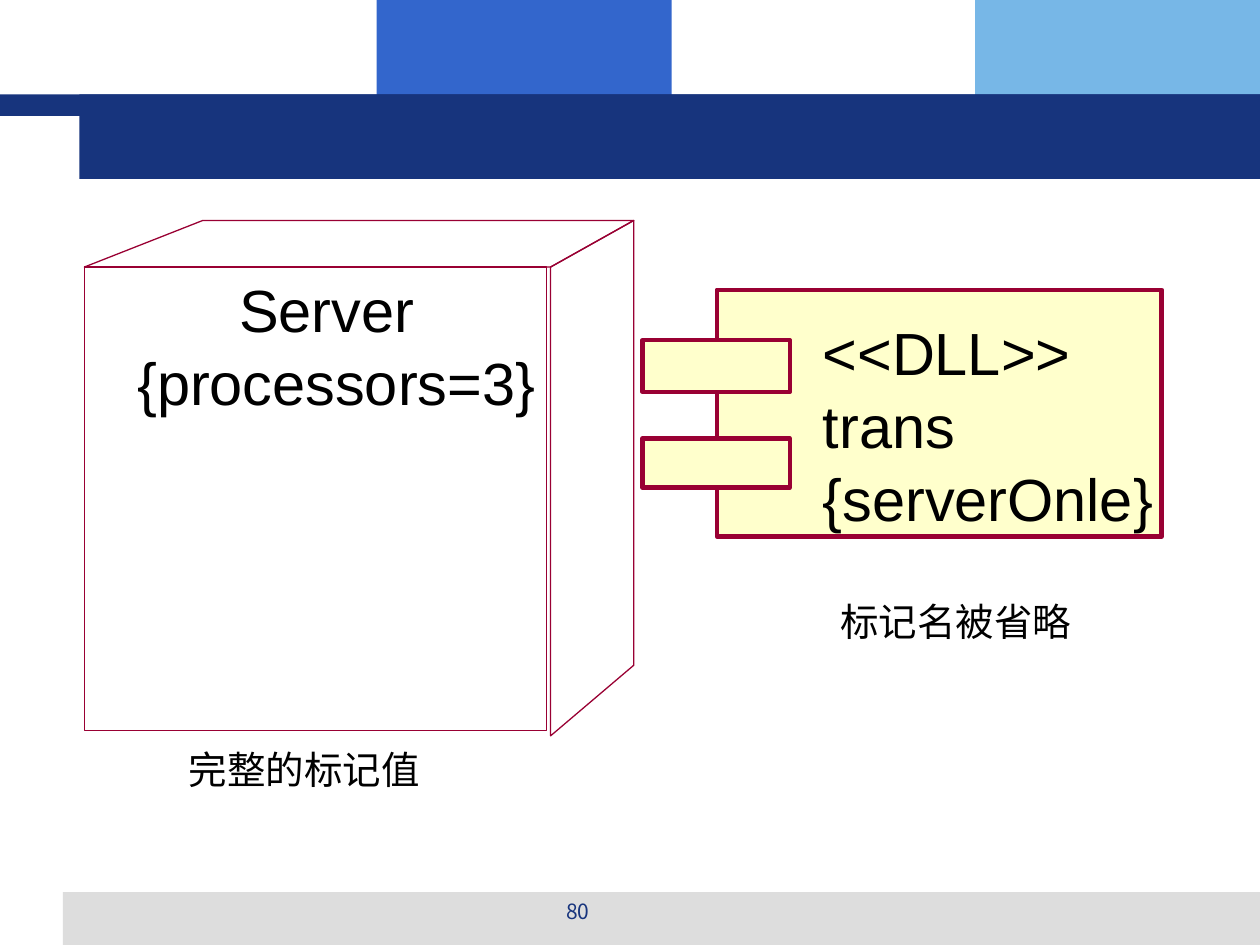
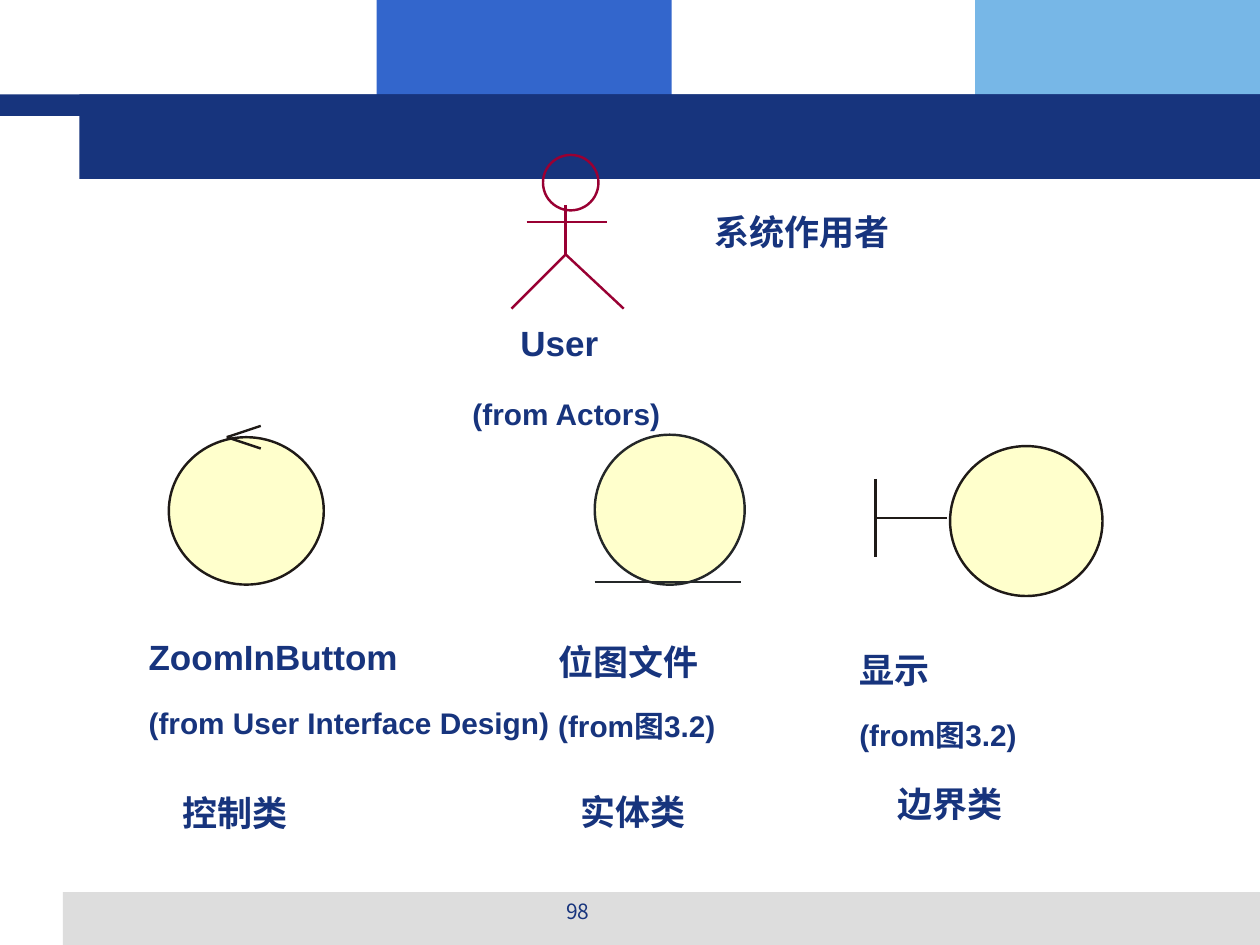
from lxml import etree
from pptx import Presentation, util as u
from pptx.dml.color import RGBColor
from pptx.enum import shapes, text
from pptx.oxml.ns import qn

NAVY = RGBColor(0x17, 0x34, 0x7D)
BLUE = RGBColor(0x33, 0x66, 0xCC)
SKY = RGBColor(0x77, 0xB7, 0xE7)
GREY = RGBColor(0xDD, 0xDD, 0xDD)
CREAM = RGBColor(0xFF, 0xFF, 0xCC)
WINE = RGBColor(0x99, 0x00, 0x33)
INK = RGBColor(0x1F, 0x1A, 0x17)
SLATE = RGBColor(0x24, 0x27, 0x28)
BLACK = RGBColor(0, 0, 0)
LATIN, HAN = "Arial", "Noto Sans CJK SC"
RECT, OVAL = shapes.MSO_SHAPE.RECTANGLE, shapes.MSO_SHAPE.OVAL
THIN, FINE, BOLD = 0.75, 1.39, 2.5


# Basic parts
def paint(item, fill, line, width):
    item.shadow.inherit = False
    if fill is None:
        item.fill.background()
    else:
        item.fill.solid()
        item.fill.fore_color.rgb = fill
    if line is None:
        item.line.fill.background()
    else:
        item.line.color.rgb = line
        item.line.width = u.Pt(width)


def shape(slide, kind, x, y, w, h, fill=None, line=None, width=FINE):
    item = slide.shapes.add_shape(kind, *map(u.Inches, (x, y, w, h)))
    paint(item, fill, line, width)


def outline(slide, points, line, width=FINE, close=True):
    spots = [(u.Inches(x), u.Inches(y)) for x, y in points]
    path = slide.shapes.build_freeform(*spots[0])
    path.add_line_segments(spots[1:], close=close)
    paint(path.convert_to_shape(), None, line, width)


def stroke(slide, x1, y1, x2, y2, color):
    line = slide.shapes.add_connector(
        shapes.MSO_CONNECTOR.STRAIGHT, *map(u.Inches, (x1, y1, x2, y2)))
    line.line.color.rgb = color
    line.line.width = u.Pt(FINE)
    etree.SubElement(line._element.spPr, qn("a:effectLst"))


def write(slide, words, x, y, w, h, size=20, color=NAVY, bold=False,
          font=LATIN, align=text.PP_ALIGN.LEFT, gap=0, inset=(0, 0)):
    box = slide.shapes.add_textbox(*map(u.Inches, (x, y, w, h)))
    frame = box.text_frame
    frame.word_wrap = True
    frame.margin_left = frame.margin_right = u.Inches(inset[0])
    frame.margin_top = frame.margin_bottom = u.Inches(inset[1])
    for i, part in enumerate(words.split("\n")):
        para = frame.paragraphs[0] if i == 0 else frame.add_paragraph()
        para.alignment = align
        if i:
            para.space_before = u.Pt(gap)
        run = para.add_run()
        run.text = part
        run.font.name = font
        run.font.size = u.Pt(size)
        run.font.bold = bold
        run.font.color.rgb = color
        east = etree.SubElement(run._r.get_or_add_rPr(), qn("a:ea"))
        east.set("typeface", HAN)


# Shared bands and page number
def page(deck, number):
    slide = deck.slides.add_slide(deck.slide_layouts[6])
    for x, y, w, h, fill in [
            (2.99, 0, 2.34, 0.92, BLUE), (7.74, 0, 2.26, 0.92, SKY),
            (0.5, 7.08, 9.5, 0.42, GREY),
            (0, 0.75, 10, 0.17, NAVY), (0.63, 0.75, 9.37, 0.67, NAVY)]:
        shape(slide, RECT, x, y, w, h, fill)
    write(slide, str(number), 3.42, 7.08, 2.33, 0.35, size=12, font=HAN,
          align=text.PP_ALIGN.CENTER, inset=(0.1, 0.05))
    return slide


# Node drawn as a box in perspective
def cube(slide, x, y, w, h):
    edge, right, front = x + 3.7, x + w, y + 0.37
    shape(slide, RECT, x, front, 3.67, 3.68, line=WINE, width=THIN)
    outline(slide, [(x, front), (x + 0.94, y), (right, y), (edge, front)],
            WINE, THIN)
    outline(slide, [(edge, front), (right, y), (right, y + 3.53), (edge, y + h)],
            WINE, THIN)
    write(slide, "Server", x + 1.23, y + 0.42, 1.6, 0.57, size=34, color=BLACK)
    write(slide, "{processors=3}", x + 0.42, y + 1, 3.4, 0.57,
          size=34, color=BLACK)


# Component with two tabs on its left side
def module(slide, x, y, w, h):
    shape(slide, RECT, x, y, w, h, CREAM, WINE, BOLD)
    for top, tall in [(0.4, 0.41), (1.18, 0.39)]:
        shape(slide, RECT, x - 0.59, y + top, 1.17, tall, CREAM, WINE, BOLD)
    write(slide, "<<DLL>>\ntrans\n{serverOnle}", x + 0.84, y + 0.21, 2.9, 1.73,
          size=34, color=BLACK, gap=0.9)


# Stick figure
def actor(slide, x, y, w, h):
    mid, hip = x + 0.43, y + 0.79
    shape(slide, OVAL, x + 0.25, y, 0.44, 0.44, line=WINE)
    stroke(slide, mid, y + 0.4, mid, hip, WINE)
    stroke(slide, x + 0.12, y + 0.53, x + 0.76, y + 0.53, WINE)
    outline(slide, [(x, y + h), (mid, hip), (x + w, y + h)], WINE, close=False)


# Class icons
def control(slide, x, y, w, h):
    shape(slide, OVAL, x, y, w, h, CREAM, INK)
    for rise in (-0.09, 0.09):
        stroke(slide, x + 0.73, y + rise, x + 0.46, y, INK)


def entity(slide, x, y, w, h):
    shape(slide, OVAL, x, y, w, h, CREAM, SLATE)
    stroke(slide, x, y + h - 0.02, x + 1.16, y + h - 0.02, SLATE)


def border(slide, x, y, w, h):
    shape(slide, OVAL, x, y, w, h, CREAM, INK)
    bar, mid = x - 0.59, y + 0.57
    stroke(slide, bar, mid - 0.31, bar, mid + 0.31, INK)
    stroke(slide, bar, mid, x - 0.02, mid, INK)


# Name with its source below
def label(slide, x, y, name, source, wide, drop):
    write(slide, name, x, y, wide, 0.33, bold=True)
    write(slide, source, x, y + drop, wide, 0.28, size=17, bold=True)


def tagged(deck):
    slide = page(deck, 80)
    cube(slide, 0.67, 1.75, 4.36, 4.09)
    module(slide, 5.69, 2.3, 3.53, 1.96)
    for words, x, y in [("标记名被省略", 6.67, 4.75), ("完整的标记值", 1.5, 5.92)]:
        write(slide, words, x, y, 2.1, 0.37, size=22, color=BLACK)


def classes(deck):
    slide = page(deck, 98)
    actor(slide, 4.06, 1.23, 0.89, 1.22)
    write(slide, "User", 4.13, 2.55, 0.9, 0.33, bold=True)
    write(slide, "(from Actors)", 3.75, 3.14, 1.8, 0.28, size=17, bold=True)
    control(slide, 1.34, 3.47, 1.23, 1.17)
    entity(slide, 4.72, 3.45, 1.19, 1.19)
    border(slide, 7.54, 3.54, 1.21, 1.19)
    label(slide, 1.18, 5.04, "ZoomInButtom", "(from User Interface Design)", 3.4, 0.55)
    label(slide, 4.43, 5.08, "位图文件", "(from图3.2)", 1.8, 0.54)
    label(slide, 6.82, 5.15, "显示", "(from图3.2)", 1.8, 0.54)
    for words, x, y, wide in [
            ("系统作用者", 5.67, 1.67, 1.7), ("控制类", 1.45, 6.28, 1.1),
            ("实体类", 4.61, 6.27, 1.1), ("边界类", 7.12, 6.21, 1.1)]:
        write(slide, words, x, y, wide, 0.33, bold=True)


def main():
    deck = Presentation()
    deck.slide_width, deck.slide_height = u.Inches(10), u.Inches(7.5)
    tagged(deck)
    classes(deck)
    deck.save("out.pptx")


if __name__ == "__main__":
    main()
